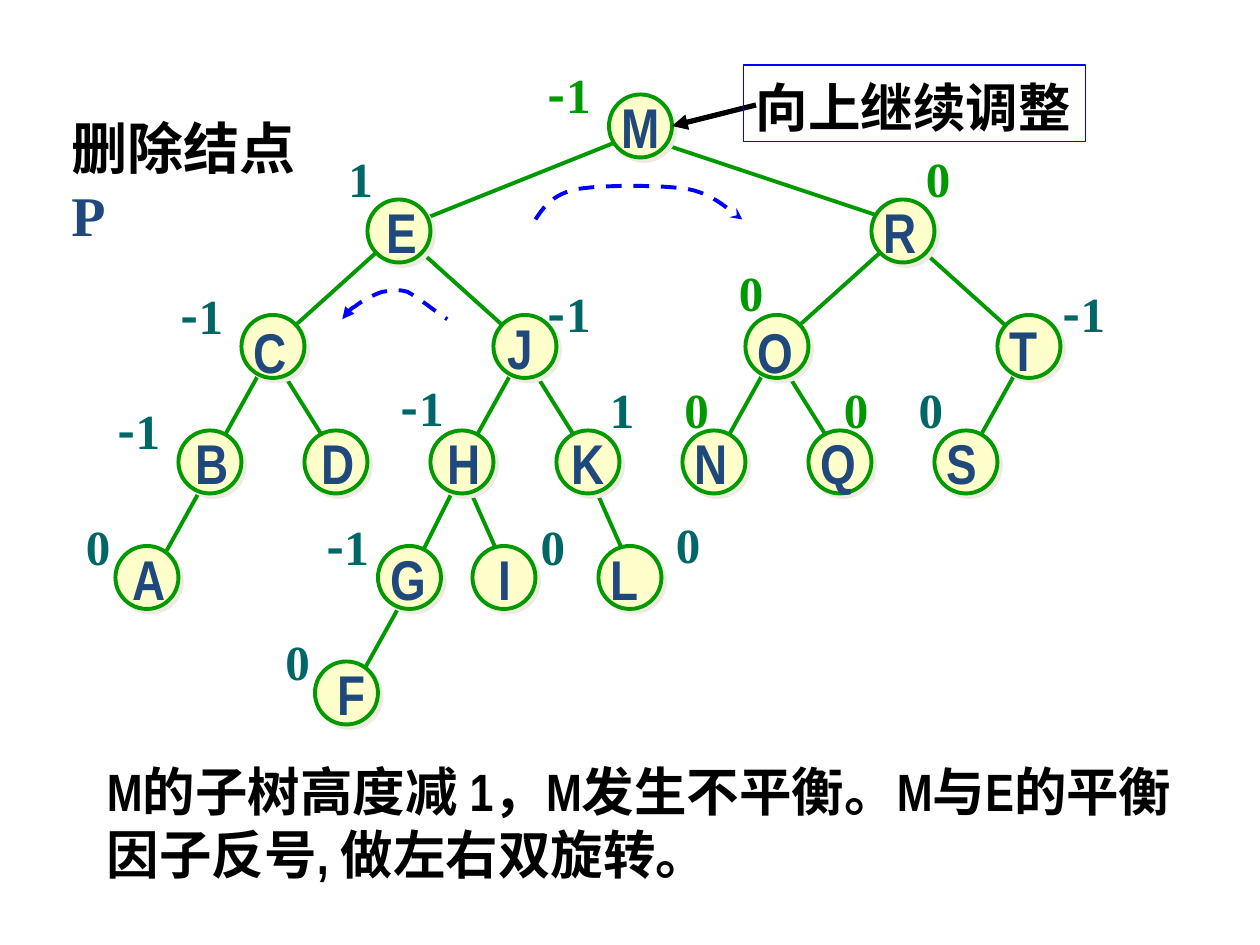
from collections import namedtuple
from lxml.etree import SubElement
from pptx import Presentation
from pptx.dml.color import RGBColor as Rgb
from pptx.enum.dml import MSO_LINE as Dash
from pptx.enum.shapes import MSO_CONNECTOR as Connector, MSO_SHAPE as Preset
from pptx.enum.text import MSO_ANCHOR as Anchor, MSO_AUTO_SIZE as AutoSize, PP_ALIGN as Align
from pptx.oxml.ns import qn
from pptx.util import Pt

SCALE = 7620
RADIUS = 30
COLORS = {"ink": "000000", "letter": "1F497D", "teal": "006666", "green": "009900",
          "node": "FFFFCC", "shadow": "EEECE1", "blue": "0000FF"}
SERIF, NARROW, SANS = "Times New Roman", "Arial Narrow", "Noto Sans CJK SC"
Box = namedtuple("Box", "left top width height")
Node = namedtuple("Node", "x y letter_box factor factor_color factor_at")

NODES = {
    "M": Node(500, 30, (-30, -40, 61), "-1", "green", (-100, -68)),
    "E": Node(270, 130, (-24, -40, 53), "1", "teal", (-60, -88)),
    "R": Node(750, 130, (-30, -40, 56), "0", "green", (10, -88)),
    "C": Node(150, 240, (-30, -36, 56), "-1", "teal", (-100, -68)),
    "J": Node(390, 240, (-28, -40, 48), "-1", "teal", (10, -70)),
    "O": Node(630, 240, (-30, -36, 58), "0", "green", (-48, -90)),
    "T": Node(870, 240, (-30, -38, 50), "-1", "teal", (20, -70)),
    "B": Node(90, 350, (-26, -40, 56), "-1", "teal", (-100, -68)),
    "D": Node(210, 350, (-26, -40, 56), "", "teal", (0, 0)),
    "H": Node(330, 350, (-26, -40, 56), "-1", "teal", (-70, -90)),
    "K": Node(450, 350, (-28, -40, 56), "1", "teal", (9, -88)),
    "N": Node(570, 350, (-30, -40, 56), "0", "green", (-40, -88)),
    "Q": Node(690, 350, (-30, -40, 58), "0", "green", (-8, -88)),
    "S": Node(810, 350, (-30, -40, 53), "0", "teal", (-57, -88)),
    "A": Node(30, 460, (-26, -40, 56), "0", "teal", (-70, -68)),
    "G": Node(280, 460, (-30, -40, 58), "-1", "teal", (-91, -68)),
    "I": Node(370, 460, (-17, -40, 36), "0", "teal", (23, -68)),
    "L": Node(490, 460, (-30, -40, 50), "0", "teal", (32, -70)),
    "F": Node(220, 570, (-20, -40, 50), "0", "teal", (-70, -68)),
}
EDGES = [
    ("ME", (-10, 10), (20, -10)), ("MR", (0, 10), (-10, -10)),
    ("EC", (-10, 10), (10, -10)), ("EJ", (10, 10), (-10, -10)),
    ("RO", (-10, 10), (10, -10)), ("RT", (20, 20), (0, 0)),
    ("CB", (-10, 20), (0, 0)), ("CD", (0, 10), (-10, -20)),
    ("JH", (-10, 20), (0, 0)), ("JK", (0, 10), (-10, -20)),
    ("ON", (-10, 20), (0, 0)), ("OQ", (0, 10), (-10, -20)),
    ("TS", (-10, 20), (0, 0)), ("BA", (0, 10), (10, -10)),
    ("HG", (0, 10), (0, 0)), ("HI", (0, 10), (0, -10)),
    ("KL", (0, 10), (0, -10)), ("GF", (0, 10), (10, -10)),
]
RIGHT_TURN = [(0, 33), (8, 21), (16, 9), (40, 4), (64, 0), (119, 0), (145, 4),
              (172, 9), (188, 28), (197, 33)]
LEFT_TURN = [(0, 29), (3, 25), (6, 20), (12, 17), (18, 12), (29, 6), (38, 3),
             (46, 2), (52, 0), (62, 3), (72, 8), (93, 25), (100, 29)]


def px(*lengths):
    """Turn px lengths into EMU."""
    return [round(length * SCALE) for length in lengths]


def color(name):
    """Look up a palette colour."""
    return Rgb.from_string(COLORS[name])


def style_line(shape, shade, points, **ends):
    """Set the line of a shape, with optional arrowheads and dash."""
    dash = ends.pop("dash", None)
    shape.line.color.rgb = color(shade)
    shape.line.width = Pt(points)
    if dash:
        shape.line.dash_style = dash
    for end, kind in sorted(ends.items()):
        SubElement(shape.line._get_or_add_ln(), qn(f"a:{end}"), type=kind)


def write(shape, box, spans, size, wrap=False):
    """Fill a shape with one left-aligned paragraph of (text, font, colour) spans."""
    shape.left, shape.top, shape.width, shape.height = px(*box)
    frame = shape.text_frame
    layout = {"word_wrap": wrap, "auto_size": AutoSize.NONE, "vertical_anchor": Anchor.TOP,
              "margin_left": px(12)[0], "margin_right": px(12)[0],
              "margin_top": px(9)[0], "margin_bottom": 0}
    for name, value in layout.items():
        setattr(frame, name, value)
    para = frame.paragraphs[0]
    para.alignment = Align.LEFT
    para.line_spacing = Pt(round(size * 1.2))
    for text, face, shade in spans:
        span = para.add_run()
        span.text = text
        for name, value in {"name": face, "size": Pt(size), "bold": True}.items():
            setattr(span.font, name, value)
        span.font.color.rgb = color(shade)
        SubElement(span.font._element, qn("a:ea"), typeface=SANS)


def add_text(page, box, spans, size, wrap=False):
    """Add a text box."""
    write(page.shapes.add_textbox(*px(*box)), box, spans, size, wrap)


def add_line(page, start, end, shade, points, **ends):
    """Add a straight connector without shadow."""
    line = page.shapes.add_connector(Connector.STRAIGHT, *px(*start, *end))
    style_line(line, shade, points, **ends)
    SubElement(line._element.spPr, qn("a:effectLst"))


def add_circle(page, x, y):
    """Add a node circle with its offset shadow."""
    circle = page.shapes.add_shape(
        Preset.OVAL, *px(x - RADIUS, y - RADIUS, 2 * RADIUS, 2 * RADIUS))
    circle.fill.solid()
    circle.fill.fore_color.rgb = color("node")
    style_line(circle, "green", 2.25)
    circle.shadow.inherit = False
    effects = circle._element.spPr.find(qn("a:effectLst"))
    shadow = SubElement(effects, qn("a:outerShdw"), dist="35921", dir="2700000",
                        algn="ctr", rotWithShape="0")
    SubElement(shadow, qn("a:srgbClr"), val=COLORS["shadow"])


def add_tree(page, box):
    """Draw the edges, circles, letters and balance factors of the tree."""
    centers = {name: (box.left + node.x, box.top + node.y) for name, node in NODES.items()}
    for (parent, child), *offsets in EDGES:
        start, end = [(centers[name][0] + dx, centers[name][1] + dy)
                      for name, (dx, dy) in zip((parent, child), offsets)]
        add_line(page, start, end, "green", 2.25)
    for x, y in centers.values():
        add_circle(page, x, y)
    for name, node in NODES.items():
        x, y = centers[name]
        dx, dy, width = node.letter_box
        add_text(page, Box(x + dx, y + dy, width, 76), [(name, NARROW, "letter")], 32)
        if node.factor:
            dx, dy = node.factor_at
            spans = [(mark, SANS if mark == "-" else SERIF, node.factor_color)
                     for mark in node.factor]
            width = 71 if len(spans) > 1 else 48
            add_text(page, Box(x + dx, y + dy, width, 68), spans, 28)


def add_callout(page, box):
    """Add the framed remark and its arrow to the root."""
    add_line(page, (box.left + 12, box.top + 38), (box.left - 68, box.top + 58),
             "ink", 3, tailEnd="triangle")
    frame = page.shapes.add_shape(Preset.RECTANGLE, *px(*box))
    frame.fill.background()
    frame.shadow.inherit = False
    style_line(frame, "blue", 0.75)
    write(frame, box, [("向上继续调整", SERIF, "ink")], 30)


def curve_points(controls, steps=12):
    """Sample a chain of cubic curves."""
    points = [controls[0]]
    for first in range(0, len(controls) - 1, 3):
        a, b, c, d = controls[first:first + 4]
        for step in range(1, steps + 1):
            t = step / steps
            weights = (1 - t) ** 3, 3 * t * (1 - t) ** 2, 3 * t * t * (1 - t), t ** 3
            points.append(tuple(sum(w * p[axis] for w, p in zip(weights, (a, b, c, d)))
                                for axis in (0, 1)))
    return points


def add_turn(page, box, controls, **ends):
    """Add a dashed rotation arrow."""
    points = [px(box.left + x, box.top + y) for x, y in curve_points(controls)]
    builder = page.shapes.build_freeform(*points[0])
    builder.add_line_segments(points[1:], close=False)
    turn = builder.convert_to_shape()
    turn.fill.background()
    turn.shadow.inherit = False
    style_line(turn, "blue", 2.25, dash=Dash.DASH, **ends)


def main():
    """Build the slide and save it."""
    deck = Presentation()
    deck.slide_width, deck.slide_height = px(1200, 900)
    page = deck.slides.add_slide(deck.slide_layouts[5])
    write(page.shapes.title, Box(56, 100, 264, 76),
          [("删除结点", SERIF, "ink"), ("P", SERIF, "letter")], 32, wrap=True)
    add_text(page, Box(90, 714, 1042, 132),
             [("M的子树高度减 1，M发生不平衡。M与E的平衡因子反号, 做左右双旋转。", NARROW, "ink")],
             30, wrap=True)
    add_tree(page, Box(110, 90, 900, 600))
    add_callout(page, Box(708, 62, 326, 73))
    add_turn(page, Box(510, 176, 197, 33), RIGHT_TURN, tailEnd="stealth")
    add_turn(page, Box(326, 275, 100, 29), LEFT_TURN, headEnd="triangle")
    deck.save("out.pptx")


if __name__ == "__main__":
    main()
